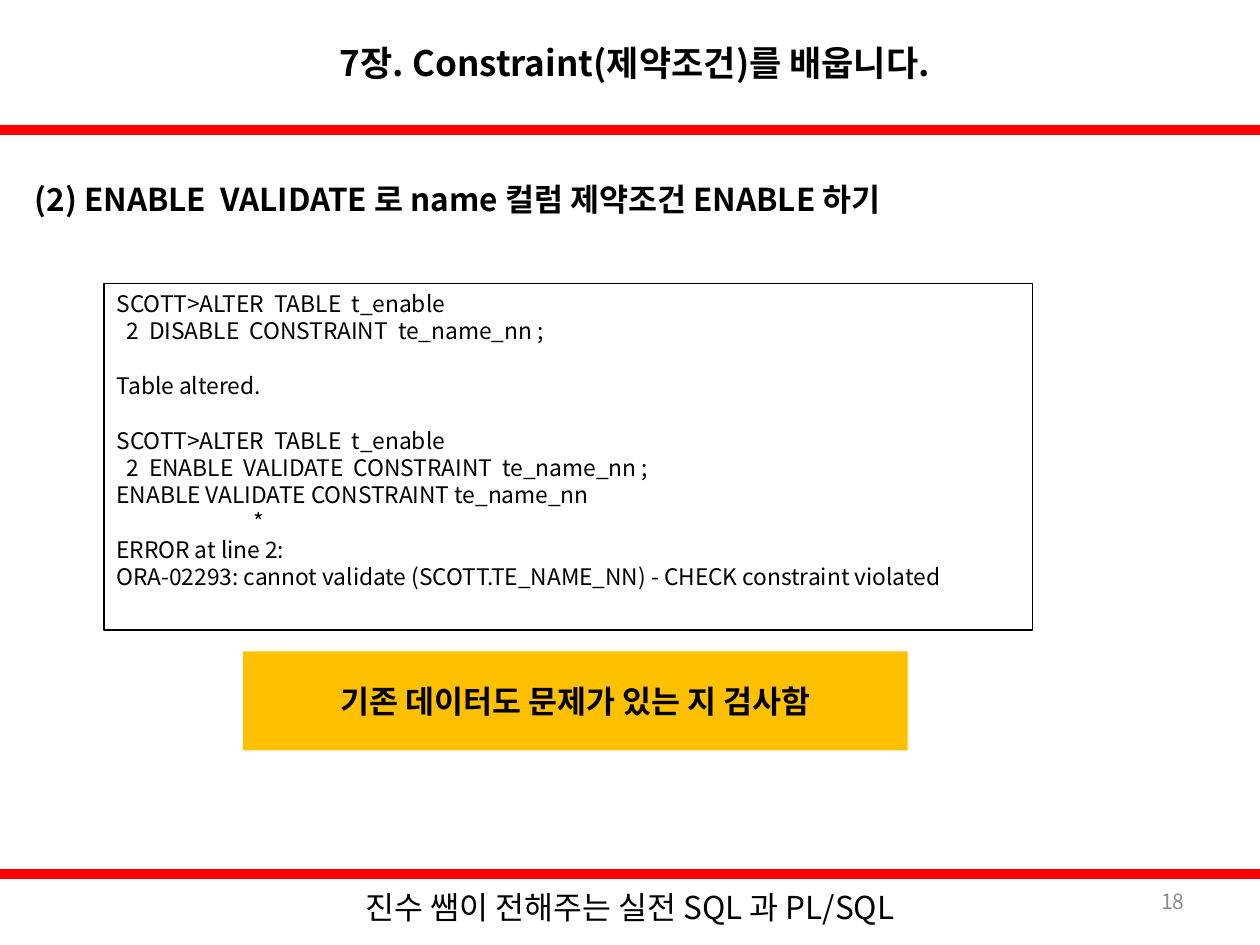
from lxml import etree
from pptx import Presentation, util as u
from pptx.dml.color import RGBColor
from pptx.enum import shapes, text
from pptx.oxml.ns import qn

Cm, Pt = u.Cm, u.Pt
RED = RGBColor(0xFF, 0x00, 0x00)
AMBER = RGBColor(0xFF, 0xC0, 0x00)
BLACK = RGBColor(0x00, 0x00, 0x00)
WHITE = RGBColor(0xFF, 0xFF, 0xFF)
GREY = RGBColor(0x8C, 0x8C, 0x8C)
FONT = "Noto Sans CJK KR"
SLIDE_WIDTH, SLIDE_HEIGHT = 25.4, 19.05
BAR_HEIGHT = 0.2
CODE_LEADING = 15.6

# (text, left indent in cm, lines of space after)
SESSION = [
    ("SCOTT>ALTER  TABLE  t_enable", 0, 0),
    ("2  DISABLE  CONSTRAINT  te_name_nn ;", 0.2, 1),
    ("Table altered.", 0, 1),
    ("SCOTT>ALTER  TABLE  t_enable", 0, 0),
    ("2  ENABLE  VALIDATE  CONSTRAINT  te_name_nn ;", 0.2, 0),
    ("ENABLE VALIDATE CONSTRAINT te_name_nn", 0, 0),
    ("*", 2.76, 0),
    ("ERROR at line 2:", 0, 0),
    ("ORA-02293: cannot validate (SCOTT.TE_NAME_NN) - CHECK constraint violated", 0, 0),
]


def style(paragraph, size, color=BLACK, bold=False, align=text.PP_ALIGN.CENTER):
    """Set the alignment and the Latin and East Asian font of a paragraph."""
    paragraph.alignment = align
    font = paragraph.font
    font.size, font.bold, font.name = Pt(size), bold, FONT
    font.color.rgb = color
    properties = paragraph._p.get_or_add_pPr().find(qn("a:defRPr"))
    etree.SubElement(properties, qn("a:ea"), typeface=FONT)


def add_panel(slide, box, fill, line=None):
    """Add a flat rectangle in the box, outlined if a line colour is given."""
    panel = slide.shapes.add_shape(shapes.MSO_SHAPE.RECTANGLE, *map(Cm, box))
    panel.shadow.inherit = False
    panel.fill.solid()
    panel.fill.fore_color.rgb = fill
    if line is None:
        panel.line.fill.background()
    else:
        panel.line.color.rgb = line
        panel.line.width = Pt(0.75)
    return panel


def add_label(slide, box, words, size, **look):
    """Add one vertically centred line of text in the box."""
    frame = slide.shapes.add_textbox(*map(Cm, box)).text_frame
    frame.word_wrap = True
    frame.vertical_anchor = text.MSO_ANCHOR.MIDDLE
    frame.text = words
    style(frame.paragraphs[0], size, **look)
    return frame


def add_header(slide, box):
    """Add the chapter title with the red bar below it."""
    left, top, width, height = box
    add_panel(slide, (left, top + height, width, BAR_HEIGHT), RED)
    add_label(slide, (left + 4.3, top, 17, height),
              "7장. Constraint(제약조건)를 배웁니다.", 20, bold=True)


def add_footer(slide, box):
    """Add the red bar with the course name and page number below it."""
    left, top, width, height = box
    add_panel(slide, (left, top, width, BAR_HEIGHT), RED)
    add_label(slide, (left + 18.2, top + 0.13, 5.93, 1.02), "18", 12,
              color=GREY, align=text.PP_ALIGN.RIGHT)
    add_label(slide, (left + 5.3, top + BAR_HEIGHT, 14.8, 1.12),
              "진수 쌤이 전해주는 실전 SQL 과 PL/SQL", 18)


def add_heading(slide, box):
    """Add the section heading."""
    heading = add_label(slide, box, "(2) ENABLE  VALIDATE 로 name 컬럼 제약조건 ENABLE 하기",
                        18, bold=True, align=text.PP_ALIGN.LEFT)
    heading.margin_left = Cm(0.4)


def add_session(slide, box):
    """Add the framed SQL session."""
    frame = add_panel(slide, box, WHITE, BLACK).text_frame
    frame.word_wrap = True
    frame.vertical_anchor = text.MSO_ANCHOR.TOP
    frame.text = "\n".join(words for words, _, _ in SESSION)
    for paragraph, (_, indent, gap) in zip(frame.paragraphs, SESSION):
        style(paragraph, 13, align=text.PP_ALIGN.JUSTIFY)
        paragraph.line_spacing = Pt(CODE_LEADING)
        paragraph.space_after = Pt(gap * CODE_LEADING)
        paragraph._p.get_or_add_pPr().set("marL", str(Cm(indent)))


def add_remark(slide, box):
    """Add the highlighted remark."""
    frame = add_panel(slide, box, AMBER).text_frame
    frame.vertical_anchor = text.MSO_ANCHOR.MIDDLE
    frame.text = "기존 데이터도 문제가 있는 지 검사함"
    style(frame.paragraphs[0], 18, bold=True)


def main():
    """Build the slide and save it."""
    deck = Presentation()
    deck.slide_width, deck.slide_height = Cm(SLIDE_WIDTH), Cm(SLIDE_HEIGHT)
    slide = deck.slides.add_slide(deck.slide_layouts[6])
    add_header(slide, (0, 0, SLIDE_WIDTH, 2.52))
    add_footer(slide, (0, 17.52, SLIDE_WIDTH, 1.53))
    add_heading(slide, (0.3, 3.12, 24.2, 1.8))
    add_session(slide, (2.1, 5.72, 18.72, 6.98))
    add_remark(slide, (4.9, 13.13, 13.4, 2))
    deck.save("out.pptx")


if __name__ == "__main__":
    main()
